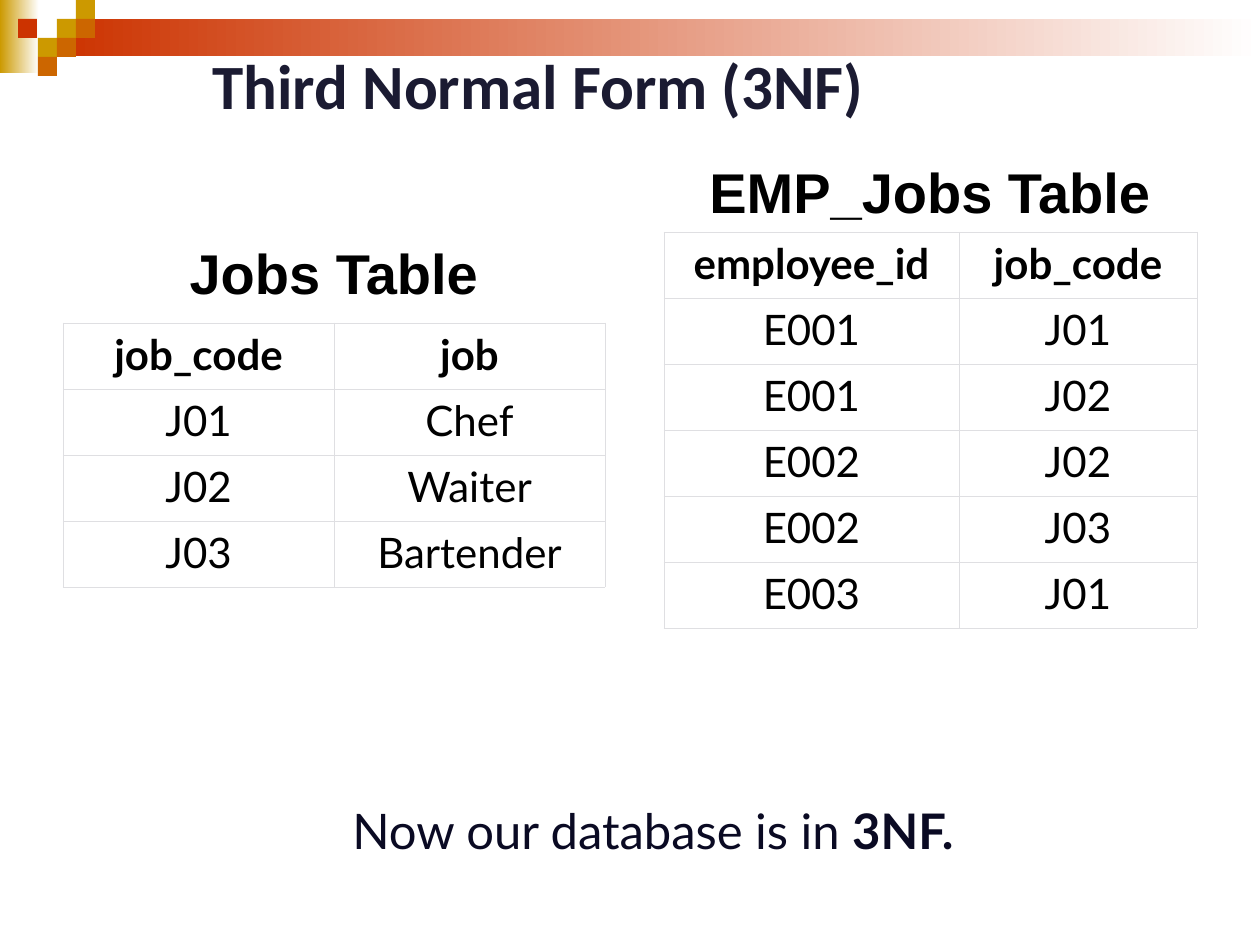
"""Build the Third Normal Form slide with its two tables."""
from lxml.etree import SubElement
from pptx import Presentation
from pptx.dml.color import RGBColor
from pptx.enum.shapes import MSO_SHAPE as Shape
from pptx.enum.text import MSO_ANCHOR as Anchor, MSO_AUTO_SIZE as Fit, PP_ALIGN as Align
from pptx.oxml.ns import qn
from pptx.util import Pt

PX = 914400 / 126
GOLD = RGBColor(0xCC, 0x99, 0x00)
RED = RGBColor(0xCC, 0x33, 0x00)
RUST = RGBColor(0xCC, 0x66, 0x00)
WHITE = RGBColor(0xFF, 0xFF, 0xFF)
BLACK = RGBColor(0x00, 0x00, 0x00)
NAVY = RGBColor(0x1B, 0x1B, 0x32)
INK = RGBColor(0x0A, 0x0A, 0x23)
GRID = RGBColor(0xDF, 0xDF, 0xE2)


def px(*nums):
    return [round(n * PX) for n in nums]


def write(frame, *runs, size, font, color=BLACK, align=Align.LEFT):
    para = frame.paragraphs[0]
    para.alignment = align
    for words, bold in runs:
        run = para.add_run()
        run.text = words
        run.font.size = Pt(size)
        run.font.name = font
        run.font.bold = bold
        run.font.color.rgb = color


prs = Presentation()
prs.slide_width, prs.slide_height = px(1260, 945)
slide = prs.slides.add_slide(prs.slide_layouts[5])
shapes = slide.shapes

bars = [((0, 0, 39, 73), GOLD), ((57, 19, 1203, 37), RED)]
tiles = [(57, 19, GOLD), (76, 0, GOLD), (76, 19, RUST), (38, 38, GOLD),
         (18, 19, RED), (57, 38, RUST), (38, 57, RUST)]
for spot, color in bars + [((x, y, 19, 19), color) for x, y, color in tiles]:
    box = shapes.add_shape(Shape.RECTANGLE, *px(*spot))
    box.shadow.inherit = False
    box.line.fill.background()
    if spot[2] > 19:
        box.fill.gradient()
        box.fill.gradient_angle = 0
        for stop, tone in zip(box.fill.gradient_stops, (color, WHITE)):
            stop.color.rgb = tone
    else:
        box.fill.solid()
        box.fill.fore_color.rgb = color

title = shapes.title
title.left, title.top, title.width, title.height = px(200, 40, 789, 88)
labels = [
    (title, [("Third Normal Form (3NF)", True)],
     dict(size=36, font="Calibri", color=NAVY)),
    (shapes.add_textbox(*px(175, 232, 318, 81)), [("Jobs Table", True)],
     dict(size=32, font="Arial", align=Align.CENTER)),
    (shapes.add_textbox(*px(695, 151, 470, 81)), [("EMP_Jobs Table", True)],
     dict(size=32, font="Arial", align=Align.CENTER)),
    (shapes.add_textbox(*px(340, 794, 634, 72)),
     [("Now our database is in ", False), ("3NF.", True)],
     dict(size=28, font="Lato", color=INK)),
]
for box, runs, style in labels:
    frame = box.text_frame
    frame.word_wrap = False
    frame.auto_size = Fit.SHAPE_TO_FIT_TEXT
    frame.vertical_anchor = Anchor.TOP
    write(frame, *runs, **style)

jobs = [("job_code", "job"), ("J01", "Chef"), ("J02", "Waiter"), ("J03", "Bartender")]
staff = [("employee_id", "job_code"), ("E001", "J01"), ("E001", "J02"),
         ("E002", "J02"), ("E002", "J03"), ("E003", "J01")]
for left, top, cols, rows in [(63, 323, (271, 271), jobs), (664, 232, (295, 238), staff)]:
    area = px(left, top, sum(cols), 66 * len(rows))
    table = shapes.add_table(len(rows), len(cols), *area).table
    table.first_row = table.horz_banding = False
    for col, width in zip(table.columns, px(*cols)):
        col.width = width
    for r, row in enumerate(rows):
        table.rows[r].height = px(66)[0]
        for c, words in enumerate(row):
            cell = table.cell(r, c)
            cell.margin_left, cell.margin_right = px(16, 16)
            cell.margin_top, cell.margin_bottom = px(6, 6)
            props = cell._tc.get_or_add_tcPr()
            for side in ("a:lnL", "a:lnR", "a:lnT", "a:lnB"):
                edge = SubElement(props, qn(side), w=str(Pt(0.34)))
                paint = SubElement(edge, qn("a:solidFill"))
                SubElement(paint, qn("a:srgbClr"), val=str(GRID))
            cell.fill.background()
            write(cell.text_frame, (words, r == 0), size=24, font="Lato", align=Align.CENTER)

prs.save("out.pptx")
